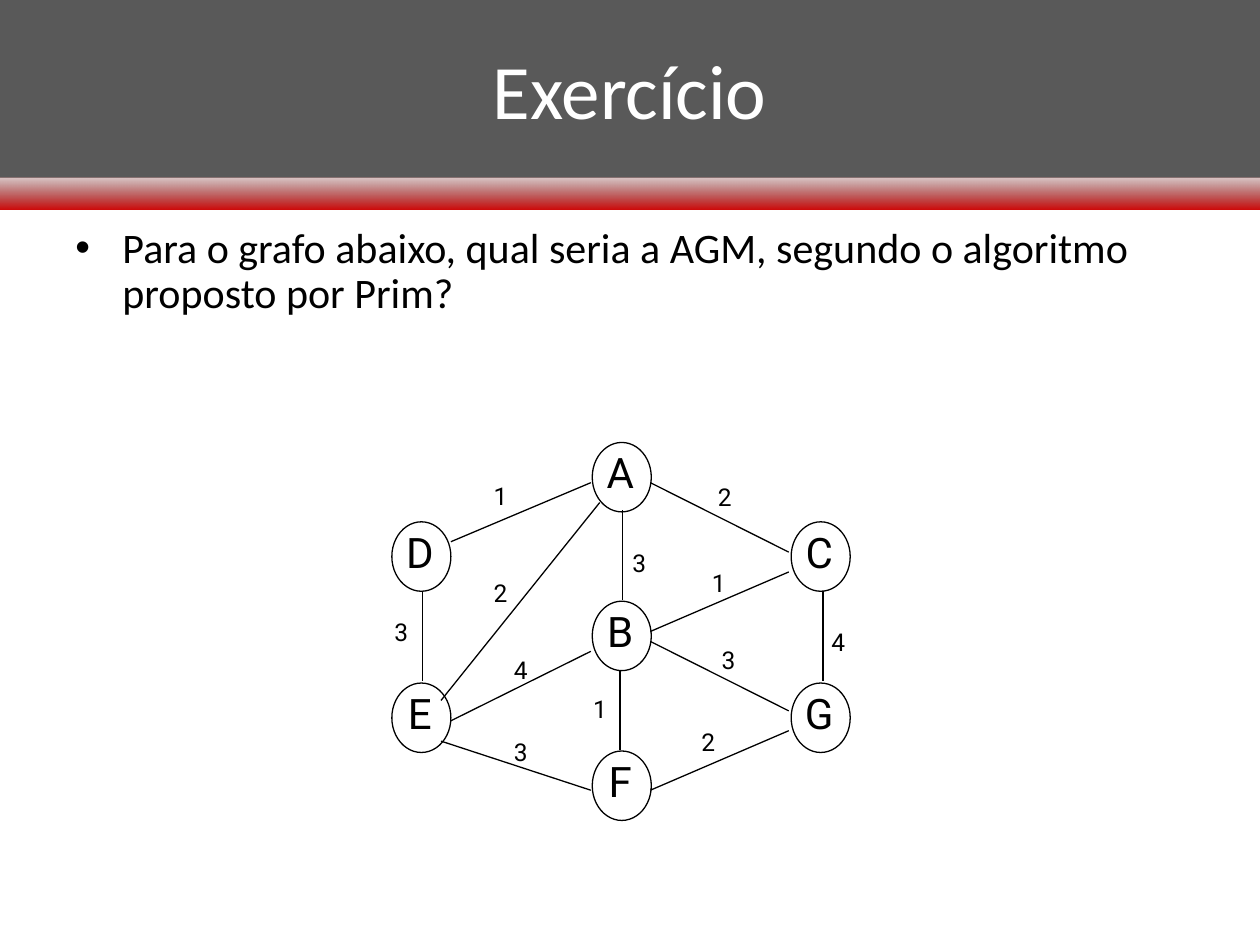
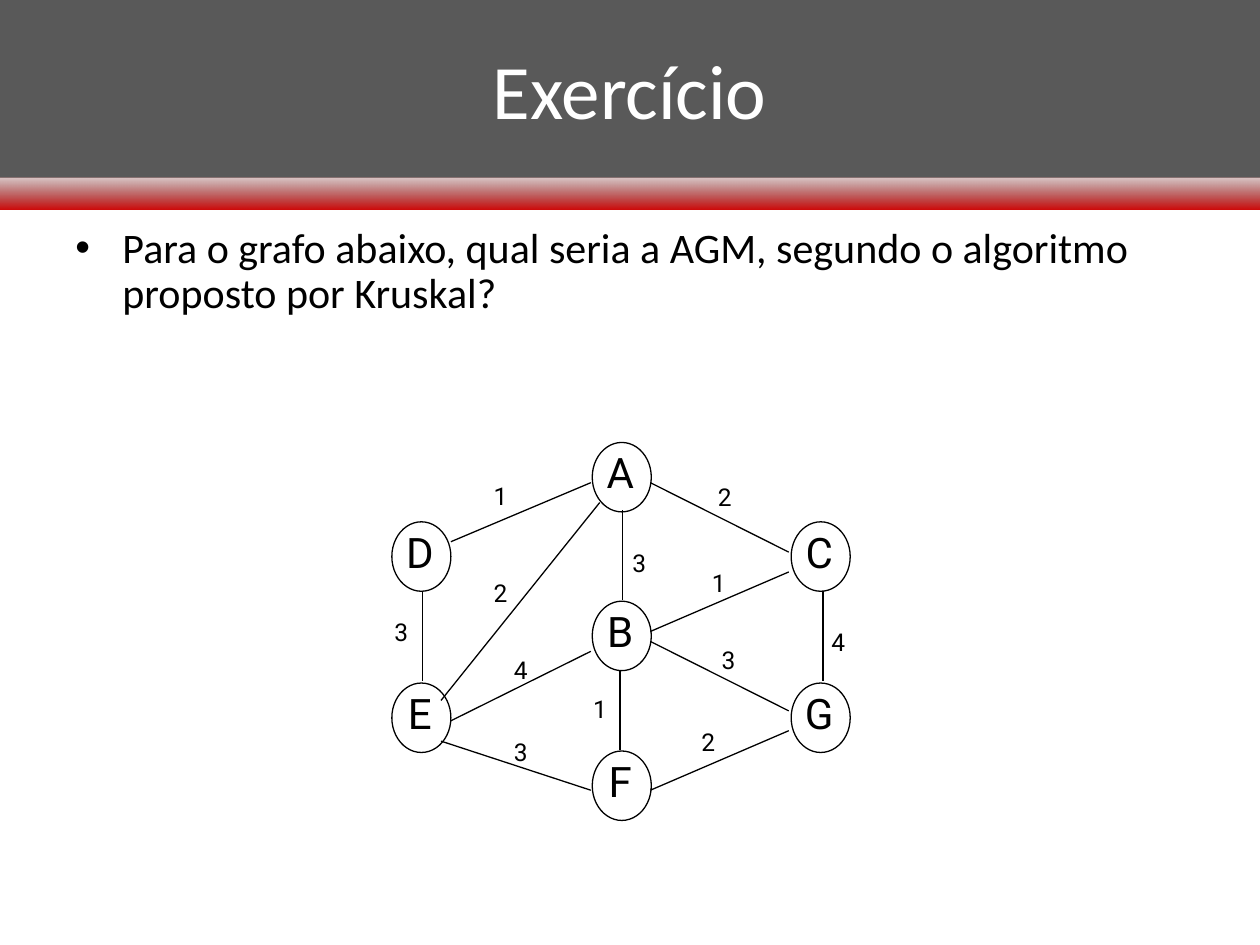
from lxml.etree import SubElement
from pptx import Presentation
from pptx.dml.color import RGBColor
from pptx.enum.shapes import MSO_CONNECTOR, MSO_SHAPE
from pptx.enum.text import MSO_ANCHOR, PP_ALIGN
from pptx.oxml.ns import qn
from pptx.util import Cm, Pt

theme = {
    "ink": RGBColor(0, 0, 0),
    "head": RGBColor(0x59, 0x59, 0x59),
    "dark": RGBColor(0x5E, 0, 0),
    "red": RGBColor(0xCC, 0, 0),
    "white": RGBColor(255, 255, 255),
    "line": Pt(0.75),
    "title": {"name": "Calibri", "size": Pt(44)},
    "body": {"name": "Calibri", "size": Pt(24)},
    "node": {"name": "Roboto", "size": Pt(24)},
    "weight": {"name": "Roboto", "size": Pt(14)},
}

width, height = 25.4, 19.05
head, strip = 3.58, 0.64
wide, tall = 1.19, 1.4
left, mid, right = 7.9, 11.94, 15.95
nodes = {
    "A": (mid, 8.92),
    "B": (mid, 12.12),
    "F": (mid, 15.14),
    "C": (right, 10.52),
    "D": (left, 10.52),
    "E": (left, 13.77),
    "G": (right, 13.77),
}
edges = [
    ((13.11, 9.73), (15.9, 11.13), "2", (14.22, 9.6)),
    ((12.5, 13.51), (12.5, 15.11), "1", (11.71, 13.87)),
    ((15.9, 11.53), (13.11, 12.73), "1", (14.1, 11.33)),
    ((11.91, 9.73), (9.09, 10.92), "1", (9.7, 9.58)),
    ((12.55, 10.29), (12.55, 12.09), "3", (12.5, 10.92)),
    ((12.09, 10.13), (8.89, 14.12), "2", (9.7, 11.53)),
    ((11.91, 13.13), (9.09, 14.53), "4", (10.11, 13.08)),
    ((8.89, 14.94), (11.91, 15.93), "3", (10.11, 14.73)),
    ((16.59, 11.91), (16.59, 13.72), "4", (16.51, 12.52)),
    ((13.11, 12.93), (15.9, 14.33), "3", (14.3, 12.88)),
    ((13.11, 15.93), (15.9, 14.73), "2", (13.89, 14.53)),
    ((8.51, 11.91), (8.51, 13.72), "3", (7.7, 12.32)),
]


def write(shape, text, style, align=PP_ALIGN.LEFT, tint="ink"):
    frame = shape.text_frame
    frame.word_wrap = True
    para = frame.paragraphs[0]
    para.alignment = align
    run = para.add_run()
    run.text = text
    for key, value in theme[style].items():
        setattr(run.font, key, value)
    run.font.color.rgb = theme[tint]
    return para


def box(*sizes):
    return [Cm(size) for size in sizes]


deck = Presentation()
deck.slide_width, deck.slide_height = box(width, height)

for method in ("Prim", "Kruskal"):
    slide = deck.slides.add_slide(deck.slide_layouts[5])
    shapes = slide.shapes

    band = shapes.add_shape(MSO_SHAPE.RECTANGLE, *box(0, head, width, strip))
    band.shadow.inherit = False
    band.line.fill.background()
    band.fill.gradient()
    band.fill.gradient_angle = 270
    for stop, tint in zip(band.fill.gradient_stops, ("dark", "red")):
        stop.color.rgb = theme[tint]
    fade = band._element.xpath(".//a:gs/a:srgbClr")[0]
    SubElement(fade, qn("a:alpha"), val="21000")

    title = shapes.title
    spot = dict(zip(("left", "top", "width", "height"), box(0, 0, width, head)))
    for key, value in spot.items():
        setattr(title, key, value)
    title.fill.solid()
    title.fill.fore_color.rgb = theme["head"]
    title.text_frame.vertical_anchor = MSO_ANCHOR.MIDDLE
    write(title, "Exercício", "title", PP_ALIGN.CENTER, "white")

    body = shapes.add_textbox(*box(1.27, 4.45, 22.86, 2.34))
    ask = f"Para o grafo abaixo, qual seria a AGM, segundo o algoritmo proposto por {method}?"
    para = write(body, ask, "body")
    para.line_spacing = 0.9
    para.space_before = Pt(6)
    props = para._p.get_or_add_pPr()
    props.set("marL", str(Cm(0.95)))
    props.set("indent", str(-Cm(0.95)))
    SubElement(props, qn("a:buFont"), typeface="Arial")
    SubElement(props, qn("a:buChar"), char="•")

    for name, (x, y) in nodes.items():
        group = shapes.add_group_shape()
        label = group.shapes.add_textbox(*box(x - 0.03, y - 0.04, wide, 1.27))
        write(label, name, "node", PP_ALIGN.CENTER)
        ring = group.shapes.add_shape(MSO_SHAPE.OVAL, *box(x, y, wide, tall))
        ring.shadow.inherit = False
        ring.fill.background()
        ring.line.color.rgb = theme["ink"]
        ring.line.width = theme["line"]

    for start, end, weight, place in edges:
        edge = shapes.add_connector(MSO_CONNECTOR.STRAIGHT, *box(*start, *end))
        edge.line.color.rgb = theme["ink"]
        edge.line.width = theme["line"]
        SubElement(edge._element.spPr, qn("a:effectLst"))
        label = shapes.add_textbox(*box(*place, 1.6, 0.86))
        write(label, weight, "weight")

deck.save("out.pptx")
